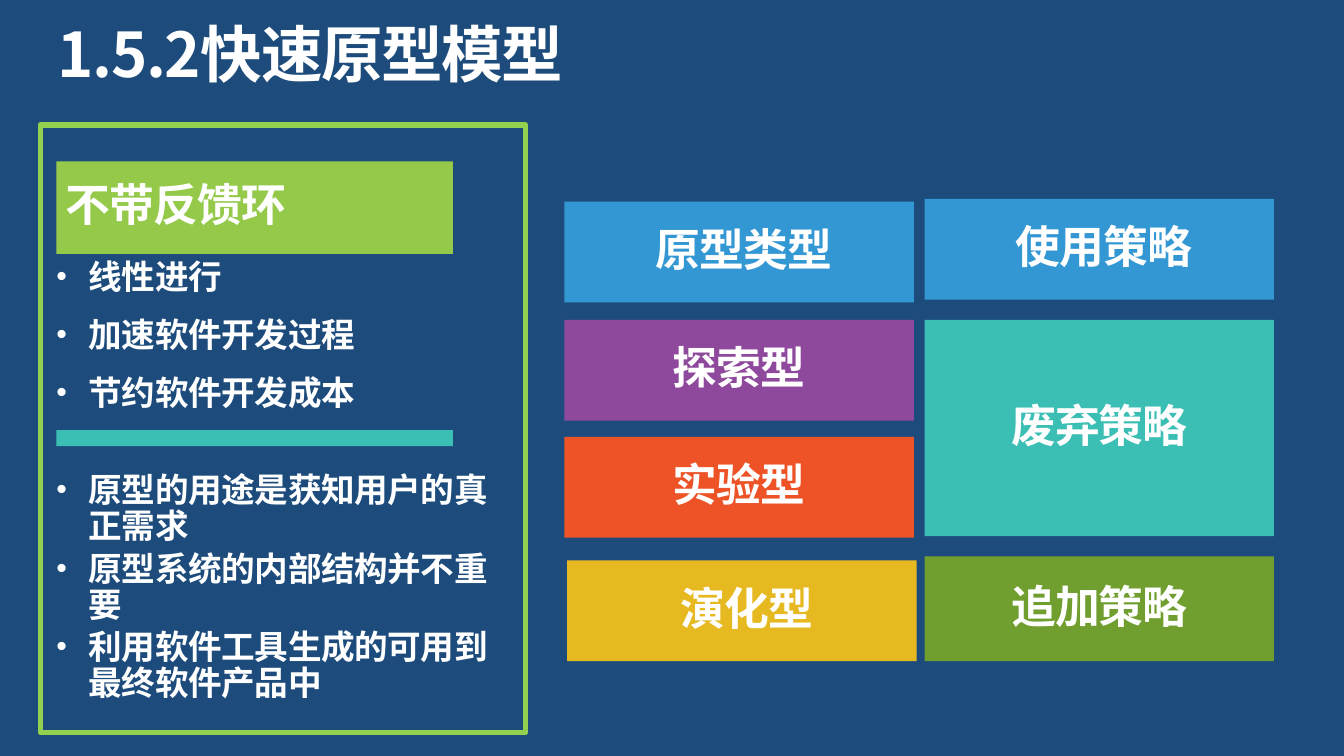
from dataclasses import dataclass

from lxml import etree
from pptx import Presentation
from pptx.dml.color import RGBColor
from pptx.enum import shapes, text
from pptx.oxml import ns
from pptx.util import Inches, Pt


@dataclass(frozen=True)
class Theme:
    font: str = "Noto Sans CJK SC"
    background: str = "1D4C7C"
    white: str = "FFFFFF"
    frame: str = "92D050"
    lime: str = "94C949"
    blue: str = "3397D3"
    purple: str = "8E499C"
    orange: str = "ED5326"
    yellow: str = "E7B921"
    teal: str = "3BBEB4"
    green: str = "709E2F"
    title: int = 33
    heading: int = 24
    body: int = 18


T = Theme()
LEFT, CENTER = text.PP_ALIGN.LEFT, text.PP_ALIGN.CENTER
TOP, MIDDLE = text.MSO_ANCHOR.TOP, text.MSO_ANCHOR.MIDDLE


def rgb(value):
    return RGBColor.from_string(value)


def add_bullet(p):
    pPr = p._p.get_or_add_pPr()
    pPr.set("marL", str(Inches(0.24)))
    pPr.set("indent", str(-Inches(0.24)))
    etree.SubElement(pPr, ns.qn("a:buSzPct"), val="90000")
    etree.SubElement(pPr, ns.qn("a:buFont"), typeface="Arial")
    etree.SubElement(pPr, ns.qn("a:buChar"), char="•")


def write(shape, lines, size, spacing, align=LEFT, anchor=TOP, inset=0,
          right=0, before=0, after=0, tracking=0, bullets=False):
    """Write one paragraph per line, all in the same format."""
    tf = shape.text_frame
    tf.word_wrap = True
    tf.auto_size = text.MSO_AUTO_SIZE.NONE
    tf.vertical_anchor = anchor
    tf.margin_left = tf.margin_top = tf.margin_bottom = Inches(inset)
    tf.margin_right = Inches(right)
    for i, line in enumerate(lines):
        p = tf.add_paragraph() if i else tf.paragraphs[0]
        p.alignment = align
        p.line_spacing = Pt(spacing)
        p.space_before = Pt(before if i else 0)
        p.space_after = Pt(after)
        if bullets:
            add_bullet(p)
        r = p.add_run()
        r.text = line
        r.font.name, r.font.size, r.font.bold = T.font, Pt(size), True
        r.font.color.rgb = rgb(T.white)
        rPr = r._r.get_or_add_rPr()
        rPr.set("spc", str(round(tracking * 100)))
        latin = rPr.find(ns.qn("a:latin"))
        latin.addnext(etree.Element(ns.qn("a:ea"), typeface=T.font))


def add_title(s, line):
    sp = s.shapes.title
    sp.left, sp.top = Inches(0.43), Inches(0.19)
    sp.width, sp.height = Inches(9.15), Inches(0.5)
    write(sp, [line], T.title, 34.6, tracking=-0.8)


def add_rect(s, left, top, width, height, fill=None, line=None):
    sp = s.shapes.add_shape(shapes.MSO_SHAPE.RECTANGLE, Inches(left),
                            Inches(top), Inches(width), Inches(height))
    sp.shadow.inherit = False
    if fill:
        sp.fill.solid()
        sp.fill.fore_color.rgb = rgb(fill)
    else:
        sp.fill.background()
    if line:
        sp.line.color.rgb = rgb(line)
        sp.line.width = Pt(3)
    else:
        sp.line.fill.background()
    return sp


def add_block(s, line, left, top, width, height, fill, align=CENTER,
              right=0.07):
    sp = add_rect(s, left, top, width, height, fill)
    write(sp, [line], T.heading, 24.8, align=align, anchor=MIDDLE,
          inset=0.07, right=right, tracking=-0.5)


def add_list(s, lines, top, width, height, spacing, after=0):
    sp = s.shapes.add_textbox(Inches(0.42), Inches(top), Inches(width),
                              Inches(height))
    write(sp, lines, T.body, spacing, before=3.6, after=after,
          tracking=-0.2, bullets=True)


def main():
    prs = Presentation()
    prs.slide_width = Inches(10)
    prs.slide_height = prs.slide_width * 9 // 16
    s = prs.slides.add_slide(prs.slide_layouts[5])
    s.background.fill.solid()
    s.background.fill.fore_color.rgb = rgb(T.background)
    add_title(s, "1.5.2快速原型模型")

    # Left panel: features of the model
    add_block(s, "不带反馈环", 0.42, 1.2, 2.95, 0.69, T.lime, align=LEFT)
    add_list(s, ["线性进行", "加速软件开发过程", "节约软件开发成本"],
             1.91, 3, 1.2, 21.4, after=6)
    add_list(s, ["原型的用途是获知用户的真正需求",
                 "原型系统的内部结构并不重要",
                 "利用软件工具生成的可用到最终软件产品中"],
             3.52, 3.33, 1.76, 19.3)
    add_rect(s, 0.42, 3.2, 2.95, 0.12, T.teal)
    add_rect(s, 0.3, 0.93, 3.61, 4.52, line=T.frame)

    # Right side: prototype types beside their strategies
    for line, left, top, height, fill, right in [
            ("原型类型", 4.2, 1.5, 0.75, T.blue, 0),
            ("探索型", 4.2, 2.38, 0.75, T.purple, 0.07),
            ("实验型", 4.2, 3.25, 0.75, T.orange, 0.07),
            ("演化型", 4.22, 4.17, 0.75, T.yellow, 0),
            ("使用策略", 6.88, 1.48, 0.75, T.blue, 0),
            ("废弃策略", 6.88, 2.38, 1.61, T.teal, 0.07),
            ("追加策略", 6.88, 4.14, 0.78, T.green, 0.07)]:
        add_block(s, line, left, top, 2.6, height, fill, right=right)

    prs.save("out.pptx")


if __name__ == "__main__":
    main()
